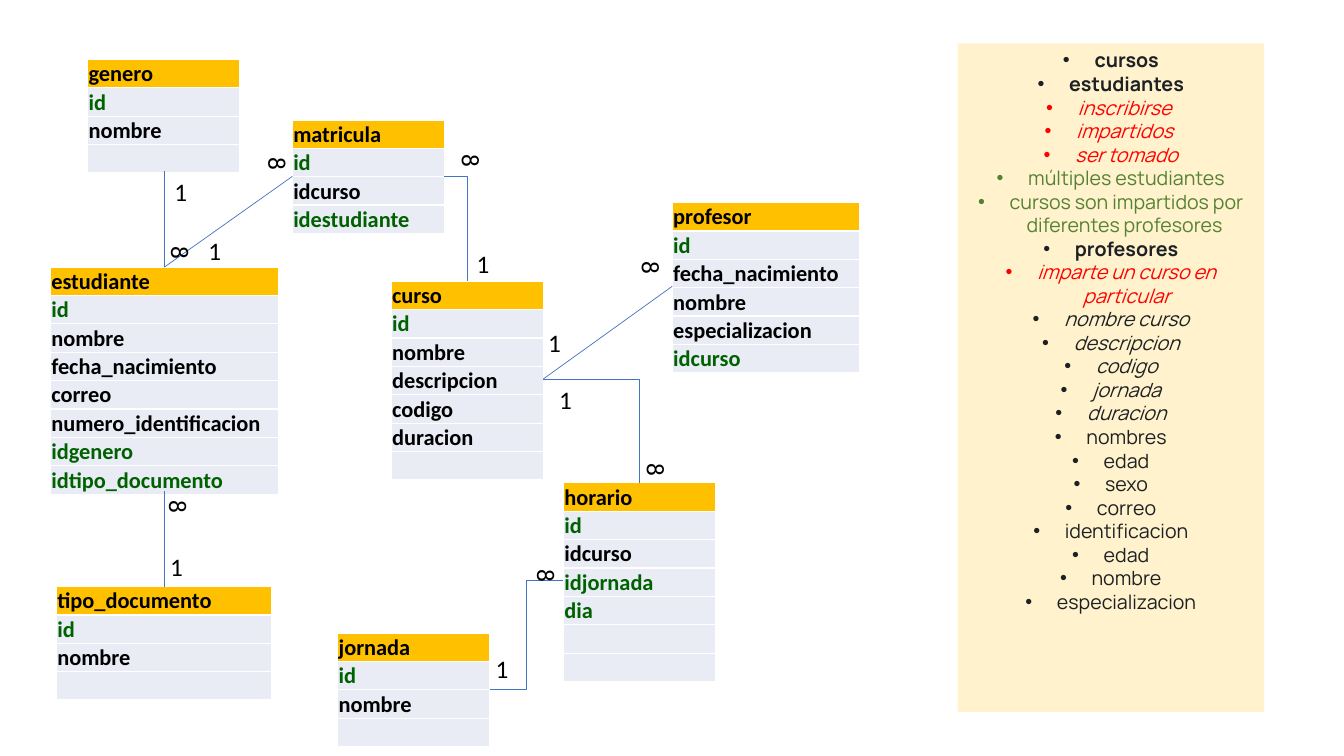
from lxml.etree import SubElement
from pptx import Presentation
from pptx.dml.color import RGBColor
from pptx.enum.shapes import MSO_CONNECTOR, MSO_SHAPE
from pptx.enum.text import MSO_ANCHOR, PP_ALIGN
from pptx.oxml.ns import qn
from pptx.util import Pt

BLACK = RGBColor(0x00, 0x00, 0x00)
INK = RGBColor(0x1D, 0x21, 0x25)
RED = RGBColor(0xFF, 0x00, 0x00)
LEAF = RGBColor(0x54, 0x82, 0x35)
KEY_GREEN = RGBColor(0x00, 0x61, 0x00)
CREAM = RGBColor(0xFF, 0xF2, 0xCC)
GOLD = RGBColor(0xFF, 0xC0, 0x00)
PALE = RGBColor(0xE9, 0xEB, 0xF5)
BLUE = RGBColor(0x44, 0x72, 0xC4)

ROW_HEIGHT = 20
BULLET_INDENT = Pt(22.5)


def add_span(para, text, color, name="Calibri", **formats):
    span = para.add_run()
    span.text = text
    span.font.name = name
    span.font.color.rgb = color
    for key, value in formats.items():
        setattr(span.font, key, value)


deck = Presentation()
deck.slide_width, deck.slide_height = Pt(960), Pt(540)
page = deck.slides.add_slide(deck.slide_layouts[6])

panel = page.shapes.add_shape(MSO_SHAPE.RECTANGLE, Pt(684), Pt(31), Pt(219), Pt(477.5))
panel.shadow.inherit = False
panel.fill.solid()
panel.fill.fore_color.rgb = CREAM
panel.line.fill.background()
panel.text_frame.word_wrap = True
panel.text_frame.vertical_anchor = MSO_ANCHOR.TOP

note_groups = [
    (INK, True, False, ["cursos", "estudiantes"]),
    (RED, False, True, ["inscribirse ", "impartidos ", "ser tomado"]),
    (LEAF, False, False, ["múltiples estudiantes",
                          "cursos son impartidos por diferentes profesores "]),
    (INK, True, False, ["profesores"]),
    (RED, False, True, ["imparte un curso en particular"]),
    (INK, False, True, ["nombre curso", "descripcion", "codigo", "jornada", "duracion"]),
    (INK, False, False, ["nombres", "edad", "sexo", "correo", "identificacion",
                         "edad", "nombre", "especializacion"]),
]
para = panel.text_frame.paragraphs[0]
for color, bold, italic, notes in note_groups:
    for note in notes:
        if para.runs:
            para = panel.text_frame.add_paragraph()
        para.alignment = PP_ALIGN.CENTER
        properties = para._p.get_or_add_pPr()
        properties.set("marL", str(BULLET_INDENT))
        properties.set("indent", str(-BULLET_INDENT))
        SubElement(properties, qn("a:buFont")).set("typeface", "Arial")
        SubElement(properties, qn("a:buChar")).set("char", "•")
        add_span(para, note, color, "Manrope", size=Pt(14), bold=bold, italic=italic)

entities = [
    (279.4, 200.9, 108.8, ["curso", "id", "nombre", "descripcion", "codigo", "duracion", ""]),
    (36, 190.8, 162.7, ["estudiante", "id", "nombre", "fecha_nacimiento", "correo",
                        "numero_identificacion", "idgenero", "idtipo_documento"]),
    (480.2, 144.7, 133.9, ["profesor", "id", "fecha_nacimiento", "nombre",
                           "especializacion", "idcurso"]),
    (241.2, 452.2, 108.8, ["jornada", "id", "nombre", ""]),
    (62.6, 42.5, 108.8, ["genero", "id", "nombre", ""]),
    (40.3, 419, 154, ["tipo_documento", "id", "nombre", ""]),
    (402.5, 344.9, 108.8, ["horario", "id", "idcurso", "idjornada", "dia", "", ""]),
    (208.8, 85.7, 108.8, ["matricula", "id", "idcurso", "idestudiante"]),
]
green_fields = {"id", "idgenero", "idtipo_documento", "idjornada", "dia", "idestudiante"}
cell_format = {"margin_left": Pt(0.7), "margin_right": Pt(0.7), "margin_top": Pt(0.7),
               "margin_bottom": 0, "vertical_anchor": MSO_ANCHOR.BOTTOM}
for left, top, width, fields in entities:
    table = page.shapes.add_table(len(fields), 1, Pt(left), Pt(top), Pt(width),
                                  Pt(ROW_HEIGHT * len(fields))).table
    table.first_row = table.horz_banding = False
    for index, field in enumerate(fields):
        cell = table.cell(index, 0)
        for key, value in cell_format.items():
            setattr(cell, key, value)
        cell.fill.solid()
        cell.fill.fore_color.rgb = PALE if index else GOLD
        para = cell.text_frame.paragraphs[0]
        para.font.size = Pt(16)
        is_key = field in green_fields or (fields[0], field) == ("profesor", "idcurso")
        if field:
            add_span(para, field, KEY_GREEN if is_key else BLACK, size=Pt(16), bold=True)

relations = [
    ("line", 117.4, 190.8, 208.8, 126),
    ("line", 388.1, 270.7, 480.2, 204.5),
    ("line", 117.4, 350.6, 117.4, 419),
    ("line", 117.4, 122.4, 117.4, 190.8),
    ("bentConnector2", 388.1, 270.7, 456.5, 344.9),
    ("bentConnector3", 349.9, 492.5, 402.5, 414.7),
    ("bentConnector2", 317.5, 126, 334.1, 200.9),
]
for outline, *ends in relations:
    kind = MSO_CONNECTOR.STRAIGHT if outline == "line" else MSO_CONNECTOR.ELBOW
    relation = page.shapes.add_connector(kind, *map(Pt, ends))
    relation.line.color.rgb = BLUE
    relation.line.width = Pt(0.5)
    properties = relation._element.spPr
    properties.find(qn("a:prstGeom")).set("prst", outline)
    SubElement(properties, qn("a:effectLst"))

cardinalities = [
    ("8", 448.6, 182.2, 33.8), ("1", 384.5, 230.4, 33.8),
    ("1", 117.4, 122.4, 33.8), ("8", 112.3, 171.4, 33.8),
    ("1", 114.5, 390.2, 33.8), ("8", 110.9, 352.8, 33.8),
    ("8", 452.2, 326.2, 33.8), ("8", 373.7, 401.8, 33.8),
    ("1", 392.4, 270.7, 48.2), ("1", 347, 463, 48.2),
    ("8", 183.6, 105.8, 30.2), ("8", 321.8, 103.7, 30.2),
    ("1", 141.8, 164.2, 33.8), ("1", 333.4, 173.5, 33.8),
]
for text, left, top, width in cardinalities:
    box = page.shapes.add_textbox(Pt(left), Pt(top), Pt(width), Pt(29))
    box.rotation = 90 if text == "8" else 0
    box.text_frame.word_wrap = True
    add_span(box.text_frame.paragraphs[0], text, BLACK, size=Pt(18))

deck.save("out.pptx")
